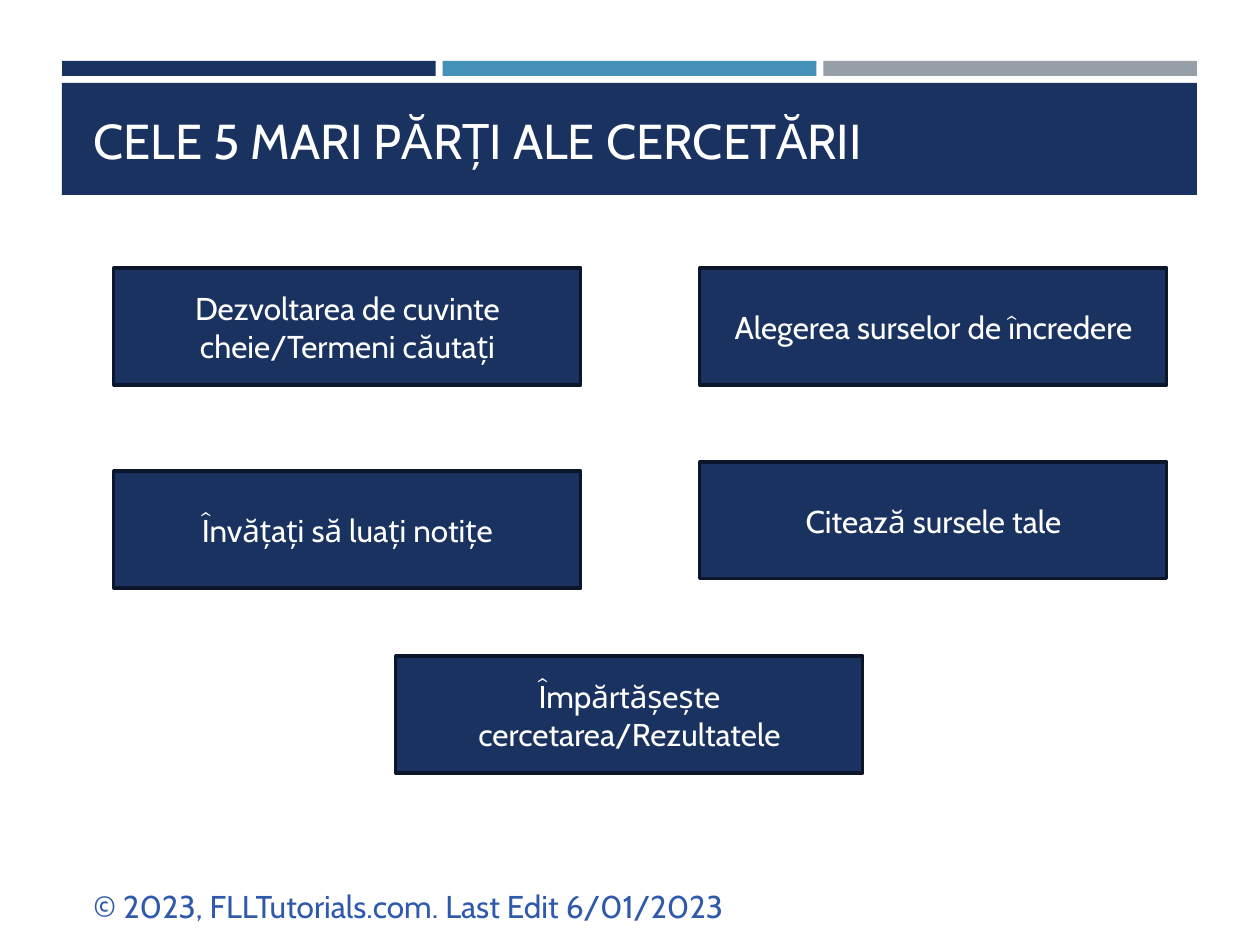
import pptx
import pptx.util
import pptx.dml.color
import pptx.enum.shapes
import pptx.enum.text

PX = 914400 / 126
FONT = "Cabin"
COLORS = {"navy": "1A3260", "blue": "4590B8", "gray": "969FA7",
          "edge": "0B162A", "white": "FFFFFF", "footer": "2F5AAC"}

TITLE = "CELE 5 MARI PĂRȚI ALE CERCETĂRII"
FOOTER = "© 2023, FLLTutorials.com. Last Edit 6/01/2023"
STRIPES = ["navy", "blue", "gray"]
STEPS = [
    ("Dezvoltarea de cuvinte cheie/Termeni căutați", 114, 268),
    ("Alegerea surselor de încredere", 700, 268),
    ("Învățați să luați notițe", 114, 471),
    ("Citează sursele tale", 700, 462),
    ("Împărtășește cercetarea/Rezultatele", 396, 656),
]
STEP_W, STEP_H = 467, 117
BAND_X, BAND_W = 62, 1135
STRIPE_GAP = 7

ALIGN = pptx.enum.text.PP_ALIGN
ANCHOR = pptx.enum.text.MSO_ANCHOR


def px(*values):
    return [pptx.util.Emu(round(v * PX)) for v in values]


def rgb(name):
    return pptx.dml.color.RGBColor.from_string(COLORS[name])


def write(sp, text, size=18, color="white", align=ALIGN.LEFT, anchor=ANCHOR.TOP):
    tf = sp.text_frame
    tf.word_wrap = True
    tf.vertical_anchor = anchor
    p = tf.paragraphs[0]
    p.alignment = align
    r = p.add_run()
    r.text = text
    r.font.name = FONT
    r.font.size = pptx.util.Pt(size)
    r.font.color.rgb = rgb(color)


def add_rect(s, x, y, w, h, fill, line=None):
    sp = s.shapes.add_shape(pptx.enum.shapes.MSO_SHAPE.RECTANGLE, *px(x, y, w, h))
    sp.shadow.inherit = False
    sp.fill.solid()
    sp.fill.fore_color.rgb = rgb(fill)
    if line:
        sp.line.color.rgb = rgb(line)
        sp.line.width = pptx.util.Pt(1.75)
    else:
        sp.line.fill.background()
    return sp


def main():
    prs = pptx.Presentation()
    prs.slide_width, prs.slide_height = px(1260, 945)
    s = prs.slides.add_slide(prs.slide_layouts[6])

    stripe_w = (BAND_W - STRIPE_GAP * (len(STRIPES) - 1)) / len(STRIPES)
    for i, color in enumerate(STRIPES):
        add_rect(s, BAND_X + i * (stripe_w + STRIPE_GAP), 61, stripe_w, 15, color)
    add_rect(s, BAND_X, 83, BAND_W, 112, "navy")

    title = s.shapes.add_textbox(*px(81, 94, 1101, 82))
    write(title, TITLE, size=28, anchor=ANCHOR.BOTTOM)
    footer = s.shapes.add_textbox(*px(81, 881, 672, 50))
    write(footer, FOOTER, color="footer")

    for text, x, y in STEPS:
        step = add_rect(s, x, y, STEP_W, STEP_H, "navy", line="edge")
        write(step, text, align=ALIGN.CENTER, anchor=ANCHOR.MIDDLE)

    prs.save("out.pptx")


if __name__ == "__main__":
    main()
